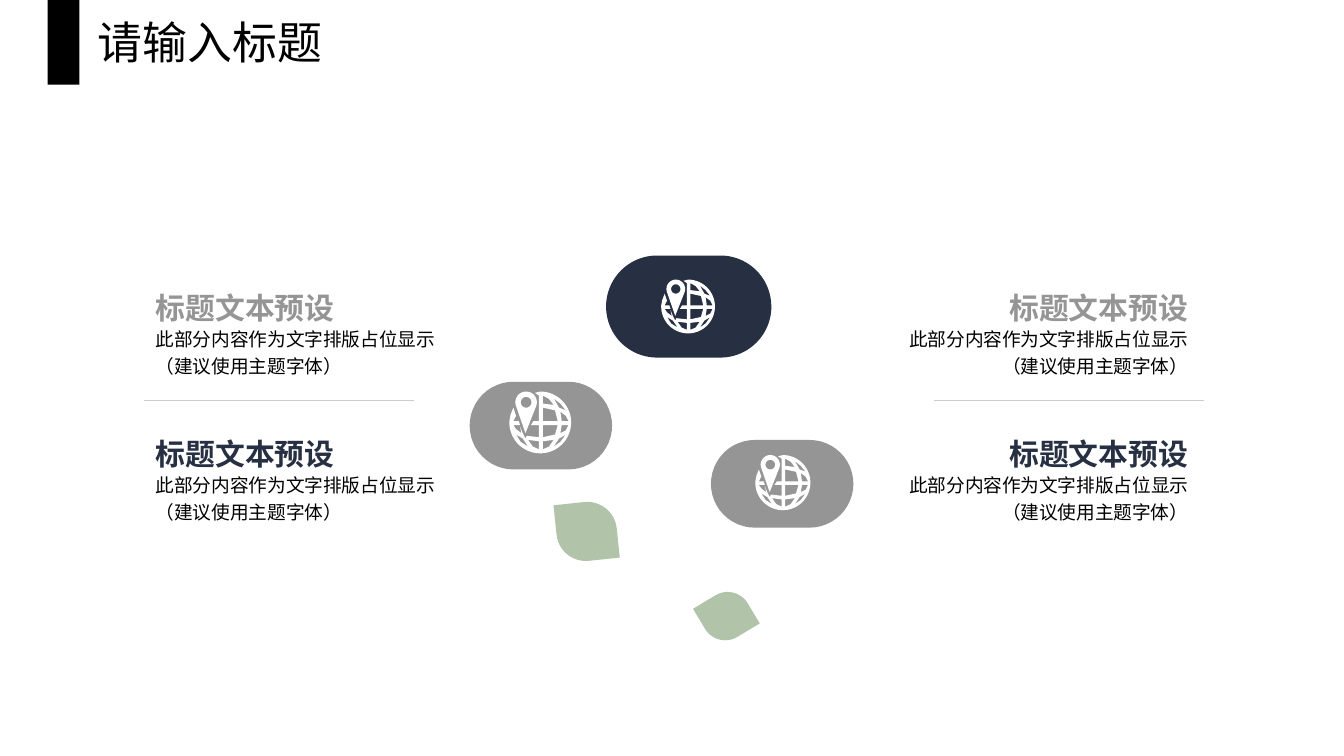
from math import cos, radians, sin
from lxml import etree
from pptx import Presentation
from pptx.dml.color import RGBColor
from pptx.enum.shapes import MSO_CONNECTOR, MSO_SHAPE
from pptx.enum.text import MSO_ANCHOR, PP_ALIGN
from pptx.oxml.ns import qn
from pptx.util import Inches, Pt

LEFT, RIGHT, JUST = PP_ALIGN.LEFT, PP_ALIGN.RIGHT, PP_ALIGN.JUSTIFY
RECT, PILL = MSO_SHAPE.RECTANGLE, MSO_SHAPE.ROUNDED_RECTANGLE
LEAF = MSO_SHAPE.ROUND_2_DIAG_RECTANGLE
FONT = "Noto Sans CJK SC"
NAVY, GREY, GREEN, RULE = "272F42", "959595", "6F9161", "CCCCCC"
BLACK, WHITE = "000000", "FFFFFF"

# Slide of 16 by 9
deck = Presentation()
deck.slide_width, deck.slide_height = Inches(10), Inches(10 * 9 / 16)
slide = deck.slides.add_slide(deck.slide_layouts[6])
shapes = slide.shapes

# Grid of 100 columns by 100 rows
col, row = deck.slide_width / 100, deck.slide_height / 100


def paint(shape, color):
    shape.shadow.inherit = False
    shape.fill.solid()
    shape.fill.fore_color.rgb = RGBColor.from_string(color)
    shape.line.fill.background()


def write(box, lines, size, color, align, bold=False, wrap=True, space=None):
    x, y, w, h = box
    frame = shapes.add_textbox(int(x * col), int(y * row),
                               int(w * col), int(h * row)).text_frame
    frame.word_wrap = wrap
    frame.vertical_anchor = MSO_ANCHOR.TOP
    para = frame.paragraphs[0]
    para.alignment = align
    para.line_spacing = space
    for i, line in enumerate(lines):
        if i:
            para.add_line_break()
        run = para.add_run()
        run.text = line
        font = run.font
        font.name, font.size, font.bold = FONT, Pt(size), bold
        font.color.rgb = RGBColor.from_string(color)
        face = etree.SubElement(run._r.get_or_add_rPr(), qn("a:ea"))
        face.set("typeface", FONT)
    return frame


# Pills
for x, y, w, h, color in [(45.1, 33.8, 12.3, 13.5, NAVY),
                          (52.9, 58.2, 10.6, 11.6, GREY),
                          (34.95, 50.5, 10.6, 11.6, GREY)]:
    pill = shapes.add_shape(PILL, int(x * col), int(y * row),
                            int(w * col), int(h * row))
    pill.adjustments[0] = 0.5
    paint(pill, color)

# Globe outlines, on a field of 46 by 46 units
arcs = []
for cx, cy, r, start, end in [(23, 23, 23, -90, 175), (12.5, 8, 8, -200, 20),
                              (12.5, 8, 4, 0, 350)]:
    arcs.append([(cx + r * cos(radians(a)), cy + r * sin(radians(a)))
                 for a in range(start, end + 1, 5)])
rim, pin, eye = arcs
rim += [(0, 22), (1, 17), (3, 12), (5, 18), (3, 22), (7, 22), (8, 25),
        (3, 25), (5, 28), (9, 31), (8, 26), (10, 31), (12, 35), (13, 33),
        (22, 34), (22, 25), (16, 25), (18, 22), (22, 22), (22, 12), (22, 5),
        (22, 3), (19, 1)]
pin += [(12, 31)]
panes = [
    [(33, 36), (25, 37), (25, 43), (29.5, 41)],
    [(14, 36), (17.5, 41), (22, 43), (22, 37)],
    [(42, 32), (37, 35), (33, 41), (38, 37.5)],
    [(5, 32), (8.5, 37.5), (14, 41), (10, 35)],
    [(39, 25), (38, 31), (42, 29), (44, 25)],
    [(25, 25), (25, 34), (34, 32), (36, 25)],
    [(38, 15), (39, 22), (44, 22), (42, 18)],
    [(25, 12), (25, 22), (36, 22), (34, 14)],
    [(33, 5), (37, 12), (42, 14), (38, 9)],
    [(25, 3), (25, 9), (33, 10), (29.5, 5.5)],
]

# Globes
for x, y, size in [(49.2, 37, 4), (56.2, 60.2, 4.1), (37.9, 51.8, 4.6)]:
    pen = None
    for ring in [rim, pin, eye] + panes:
        dots = [(a * 100, b * 100) for a, b in ring]
        if pen is None:
            pen = shapes.build_freeform(*dots[0], scale=size * col / 4600)
        else:
            pen.move_to(*dots[0])
        pen.add_line_segments(dots[1:], close=True)
    paint(pen.convert_to_shape(int(x * col), int(y * row)), WHITE)

# Leaves
for x, y, w, h, turn in [(41.4, 66.4, 4.5, 7.8, -6), (52.2, 78.4, 3.7, 6.2, -31)]:
    leaf = shapes.add_shape(LEAF, int(x * col), int(y * row),
                            int(w * col), int(h * row))
    leaf.adjustments[0], leaf.adjustments[1] = 0, 0.5
    leaf.rotation = turn
    paint(leaf, GREEN)
    tone = leaf.fill._xPr.find(".//" + qn("a:srgbClr"))
    etree.SubElement(tone, qn("a:alpha")).set("val", "54000")

# Side texts with a rule between the two blocks
for x, mark, align in [(67, 69.5, RIGHT), (11.6, 10.7, LEFT)]:
    for y, color in [(38.3, GREY), (57.6, NAVY)]:
        body = write((x, y + 4.5, 21.4, 7.5),
                     ["此部分内容作为文字排版占位显示", "（建议使用主题字体）"],
                     10, BLACK, align, space=1.2)
        head = write((x, y, 21.4, 4.5), ["标题文本预设"], 16, color, align,
                     bold=True, wrap=False)
        for frame in (body, head):
            frame.margin_left = frame.margin_right = 0
            frame.margin_top = frame.margin_bottom = 0
    rule = shapes.add_connector(MSO_CONNECTOR.STRAIGHT, int(mark * col), int(53 * row),
                                int((mark + 20.1) * col), int(53 * row))
    rule.line.color.rgb = RGBColor.from_string(RULE)
    rule.line.width = Pt(0.75)
    etree.SubElement(rule._element.spPr, qn("a:effectLst"))

# Slide title and its bar
write((6.3, 1.1, 20.1, 8.9), ["请输入标题"], 24, BLACK, JUST)
bar = shapes.add_shape(RECT, int(3.55 * col), 0, int(2.35 * col), int(11.2 * row))
paint(bar, BLACK)

deck.save("out.pptx")
